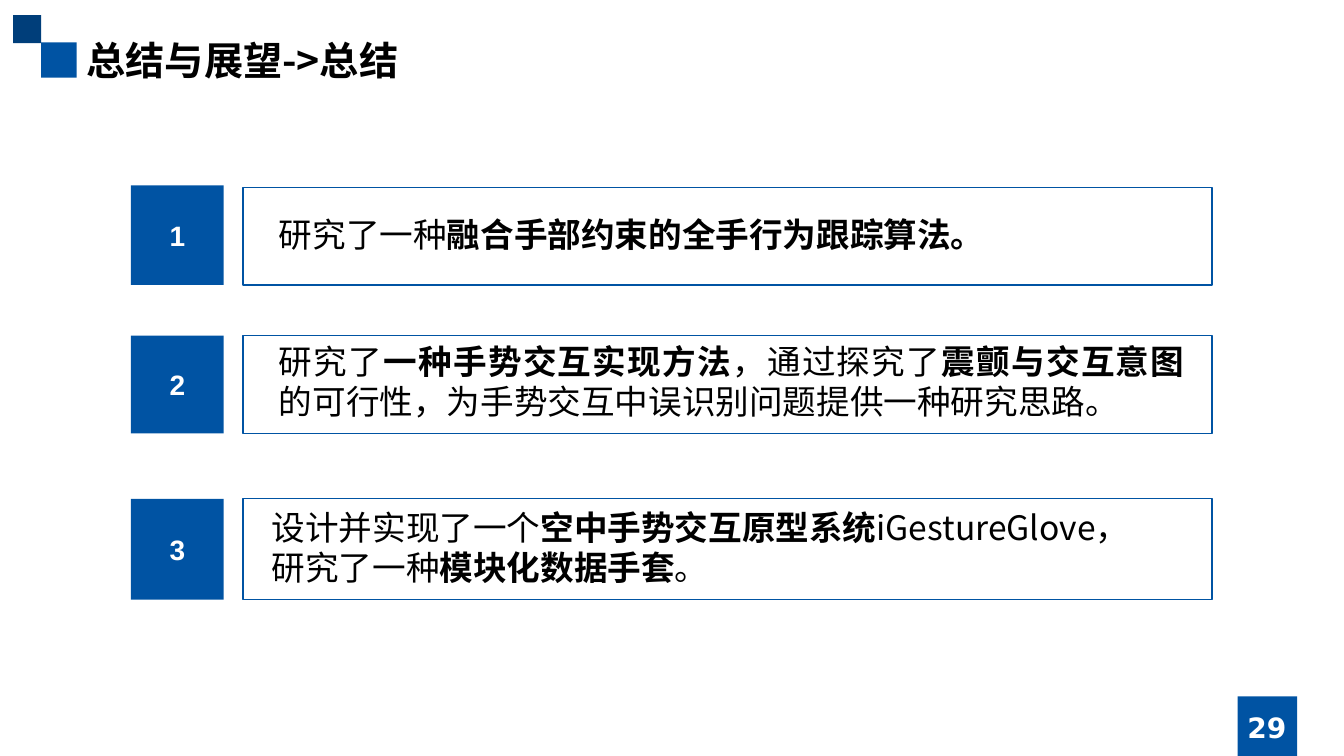
"""Build the summary slide with three numbered conclusions."""
from lxml.etree import SubElement
from pptx import Presentation
from pptx.dml.color import RGBColor
from pptx.enum.shapes import MSO_SHAPE
from pptx.enum.text import MSO_ANCHOR, PP_ALIGN
from pptx.oxml.ns import qn
from pptx.util import Cm, Pt

BLUE, NAVY, WHITE, BLACK = "0053A3", "003E7A", "FFFFFF", "000000"
CJK = "Noto Sans CJK SC"
TITLE = "总结与展望->总结"
PAGE = "29"

DECOR = [
    ((1.04, 1.07, 0.89, 0.89), BLUE),
    ((0.33, 0.38, 0.71, 0.71), NAVY),
    ((31.19, 17.55, 1.5, 1.5), BLUE),
]

# Each conclusion: panel (top, height), badge (top, height), text box, alignment, (text, bold) runs
CONCLUSIONS = [
    ((4.72, 2.46), (4.67, 2.51), (6.78, 5.26, 22.91, 1.27), PP_ALIGN.LEFT,
     [("研究了一种", False), ("融合手部约束的全手行为跟踪算法。", True)]),
    ((8.46, 2.46), (8.46, 2.46), (6.78, 8.46, 23.32, 2.31), PP_ALIGN.JUSTIFY,
     [("研究了", False), ("一种手势交互实现方法", True), ("，通过探究了", False),
      ("震颤与交互意图", True),
      ("的可行性，为手势交互中误识别问题提供一种研究思路。", False)]),
    ((12.57, 2.54), (12.57, 2.54), (6.6, 12.65, 22.91, 2.31), PP_ALIGN.LEFT,
     [("设计并实现了一个", False), ("空中手势交互原型系统", True),
      ("iGestureGlove，研究了一种", False), ("模块化数据手套", True), ("。", False)]),
]
PANEL_LEFT, PANEL_WIDTH = 6.12, 24.43
BADGE_LEFT, BADGE_WIDTH = 3.3, 2.34


def rgb(color):
    return RGBColor.from_string(color)


def add_rect(slide, box, fill, line=None):
    sp = slide.shapes.add_shape(MSO_SHAPE.RECTANGLE, *map(Cm, box))
    sp.shadow.inherit = False
    sp.fill.solid()
    sp.fill.fore_color.rgb = rgb(fill)
    if line:
        sp.line.color.rgb = rgb(line)
        sp.line.width = Pt(1)
    else:
        sp.line.fill.background()
    return sp


def write(sp, runs, size, font, color, align=PP_ALIGN.LEFT, anchor=MSO_ANCHOR.TOP):
    tf = sp.text_frame
    tf.word_wrap = True
    tf.vertical_anchor = anchor
    p = tf.paragraphs[0]
    p.alignment = align
    p.font.size = Pt(size)
    p.font.name = font
    p.font.color.rgb = rgb(color)
    SubElement(p._p.pPr.find(qn("a:defRPr")), qn("a:ea"), typeface=font)
    for text, bold in runs:
        r = p.add_run()
        r.text = text
        r.font.bold = bold


def main():
    prs = Presentation()
    prs.slide_width, prs.slide_height = Cm(33.87), Cm(19.05)
    s = prs.slides.add_slide(prs.slide_layouts[5])

    for box, fill in DECOR:
        add_rect(s, box, fill)

    title = s.shapes.title
    title.left, title.top, title.width, title.height = map(Cm, (1.93, 0.79, 15.01, 1.45))
    write(title, [(TITLE, True)], 28, CJK, BLACK)

    page = s.shapes.add_textbox(*map(Cm, (30, 17.81, 3.86, 1.02)))
    write(page, [(PAGE, True)], 20, "DejaVu Sans", WHITE, PP_ALIGN.CENTER, MSO_ANCHOR.MIDDLE)

    for number, (panel, badge, text_box, align, runs) in enumerate(CONCLUSIONS, 1):
        add_rect(s, (PANEL_LEFT, panel[0], PANEL_WIDTH, panel[1]), WHITE, BLUE)
        write(s.shapes.add_textbox(*map(Cm, text_box)), runs, 24, CJK, BLACK, align)
        sp = add_rect(s, (BADGE_LEFT, badge[0], BADGE_WIDTH, badge[1]), BLUE)
        write(sp, [(str(number), True)], 20, "Arial", WHITE, PP_ALIGN.CENTER, MSO_ANCHOR.MIDDLE)

    prs.save("out.pptx")


if __name__ == "__main__":
    main()
